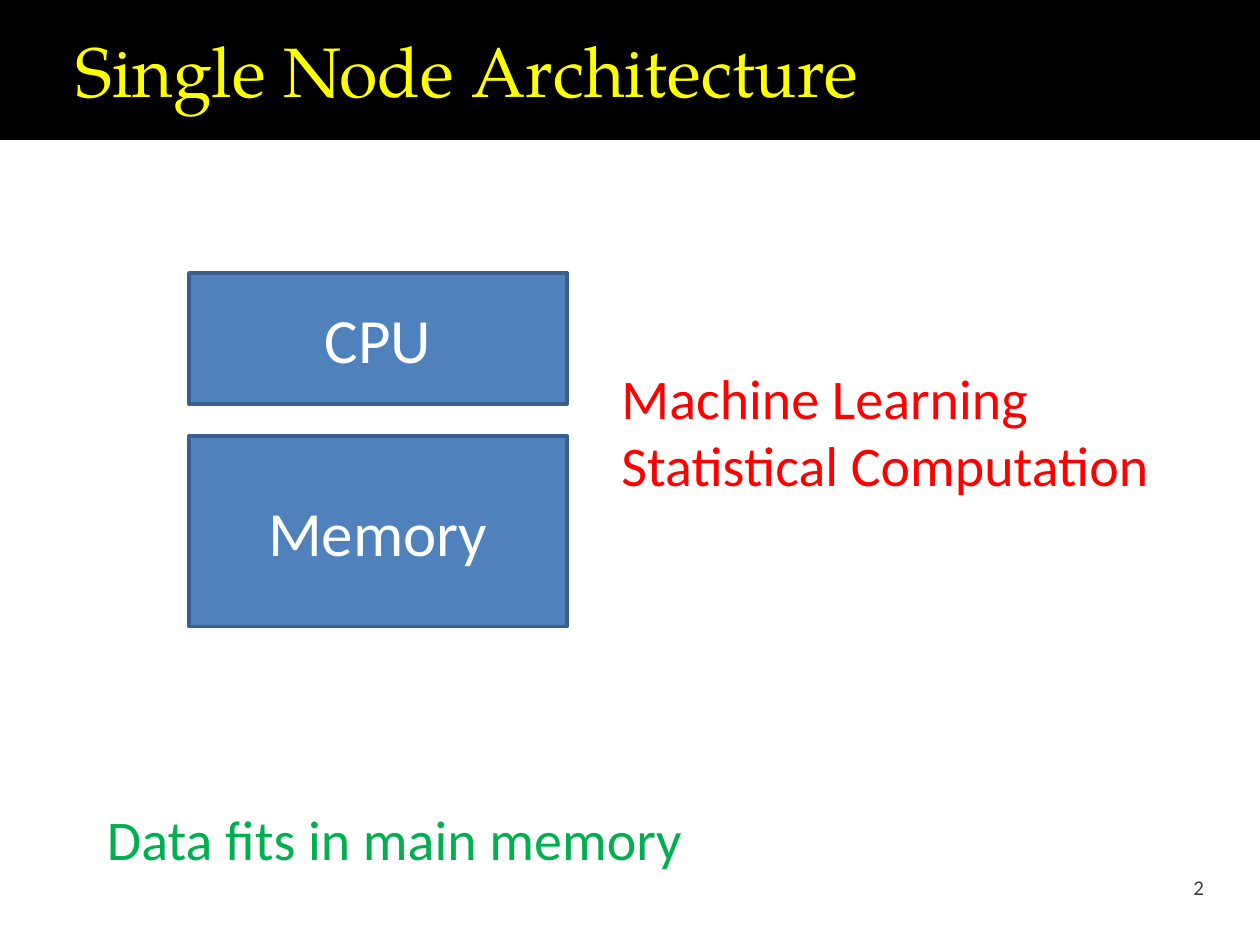
"""Build the Single Node Architecture slide."""
import pptx
import pptx.dml.color
import pptx.enum.shapes
import pptx.enum.text
import pptx.util

Pt = pptx.util.Pt
ALIGN = pptx.enum.text.PP_ALIGN
ANCHOR = pptx.enum.text.MSO_ANCHOR

THEME = {
    "title": ("TeX Gyre Pagella", 40, "FFFF00"),
    "component": ("Calibri", 36, "FFFFFF"),
    "workload": ("Calibri", 32, "FF0000"),
    "remark": ("Calibri", 32, "00B050"),
    "number": ("Calibri", 12, "3E3E3E"),
    "band": "000000",
    "component_fill": "4F81BD",
    "component_line": "3A5F8C",
}

SLIDE_WIDTH, SLIDE_HEIGHT = 720, 540
BAND_HEIGHT = 80
TITLE = ("Single Node Architecture", (36, 12.2, 666, 55.7))
COMPONENTS = [("CPU", 75), ("Memory", 109)]
STACK_LEFT, STACK_TOP, STACK_WIDTH, STACK_GAP = 108, 156, 216, 18
NOTES = [
    ("workload", "Machine Learning\nStatistical Computation", (348, 204, 342, 85)),
    ("remark", "Data fits in main memory", (54, 456, 366, 46)),
]
NUMBER = ("2", (679, 499.7, 21.5, 14.4))
NUMBER_INSET = 0
TEXT_INSETS = (7.2, 3.6)


def colour(name):
    return pptx.dml.color.RGBColor.from_string(name)


def write(shape, words, style, align=ALIGN.LEFT, anchor=ANCHOR.TOP, insets=TEXT_INSETS):
    font_name, size, ink = THEME[style]
    frame = shape.text_frame
    frame.text = words
    frame.word_wrap = True
    frame.auto_size = pptx.enum.text.MSO_AUTO_SIZE.NONE
    frame.vertical_anchor = anchor
    frame.margin_left = frame.margin_right = Pt(insets[0])
    frame.margin_top = frame.margin_bottom = Pt(insets[1])
    for paragraph in frame.paragraphs:
        paragraph.alignment = align
        for run in paragraph.runs:
            run.font.name = font_name
            run.font.size = Pt(size)
            run.font.color.rgb = colour(ink)


def add_block(slide, place, fill):
    block = slide.shapes.add_shape(
        pptx.enum.shapes.MSO_SHAPE.RECTANGLE, *map(Pt, place))
    block.shadow.inherit = False
    block.fill.solid()
    block.fill.fore_color.rgb = colour(fill)
    block.line.fill.background()
    return block


def add_title(slide):
    words, place = TITLE
    title = slide.shapes.title
    title.left, title.top, title.width, title.height = map(Pt, place)
    write(title, words, "title")
    band = add_block(slide, (0, 0, SLIDE_WIDTH, BAND_HEIGHT), THEME["band"])
    title.element.addprevious(band.element)


def add_components(slide):
    top = STACK_TOP
    for label, height in COMPONENTS:
        component = add_block(
            slide, (STACK_LEFT, top, STACK_WIDTH, height), THEME["component_fill"])
        component.line.color.rgb = colour(THEME["component_line"])
        component.line.width = Pt(2)
        write(component, label, "component", ALIGN.CENTER, ANCHOR.MIDDLE)
        top += height + STACK_GAP


def add_notes(slide):
    for style, words, place in NOTES:
        write(slide.shapes.add_textbox(*map(Pt, place)), words, style)
    words, place = NUMBER
    number = slide.shapes.add_textbox(*map(Pt, place))
    write(number, words, "number", insets=(NUMBER_INSET, NUMBER_INSET))
    number.text_frame.margin_left = Pt(3)


def main():
    deck = pptx.Presentation()
    deck.slide_width, deck.slide_height = Pt(SLIDE_WIDTH), Pt(SLIDE_HEIGHT)
    slide = deck.slides.add_slide(deck.slide_layouts.get_by_name("Title Only"))
    add_title(slide)
    add_components(slide)
    add_notes(slide)
    deck.save("out.pptx")


if __name__ == "__main__":
    main()
